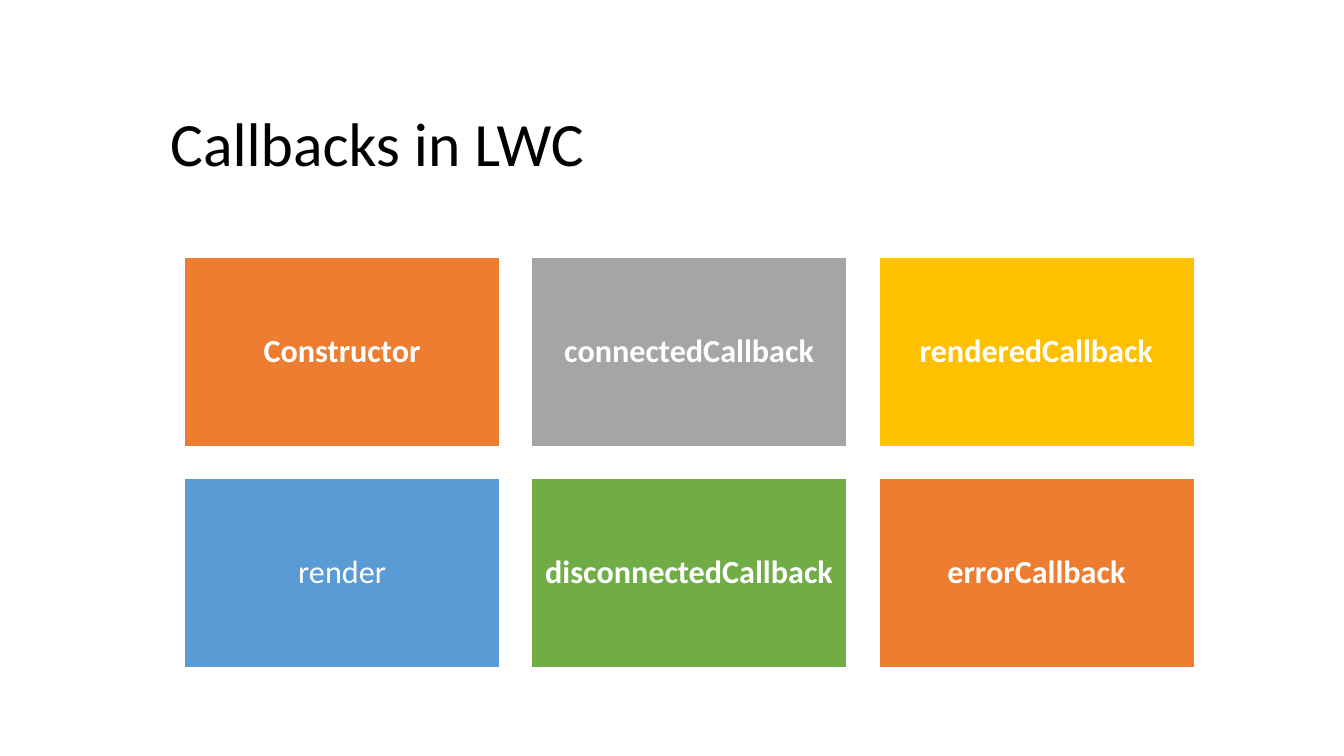
from dataclasses import dataclass

from pptx import Presentation
from pptx.dml.color import RGBColor
from pptx.enum.shapes import MSO_SHAPE
from pptx.enum.text import MSO_ANCHOR, PP_ALIGN
from pptx.shapes.autoshape import Shape
from pptx.slide import Slide
from pptx.util import Cm, Pt


@dataclass(frozen=True)
class Theme:
    font: str = "Calibri"
    title_size: int = 44
    card_size: int = 23
    black: str = "000000"
    white: str = "FFFFFF"
    orange: str = "ED7D31"
    gray: str = "A5A5A5"
    gold: str = "FFC000"
    blue: str = "5B9BD5"
    green: str = "70AD47"


@dataclass(frozen=True)
class Callback:
    name: str
    color: str
    bold: bool = True


THEME = Theme()
COLUMNS = 3
GRID_LEFT, GRID_TOP = 4.65, 6.48
CARD_WIDTH, CARD_HEIGHT, GAP = 7.95, 4.77, 0.8
INSET = Cm(0.25)

CALLBACKS = [
    Callback("Constructor", THEME.orange),
    Callback("connectedCallback", THEME.gray),
    Callback("renderedCallback", THEME.gold),
    Callback("render", THEME.blue, bold=False),
    Callback("disconnectedCallback", THEME.green),
    Callback("errorCallback", THEME.orange),
]


def apply_format(target: object, values: dict[str, object]) -> None:
    for attribute, value in values.items():
        setattr(target, attribute, value)


def write_text(
    holder: Shape, text: str, size: int, color: str, align: PP_ALIGN, bold: bool
) -> None:
    frame = holder.text_frame
    apply_format(frame, {
        "word_wrap": True,
        "vertical_anchor": MSO_ANCHOR.MIDDLE,
        "margin_left": INSET,
        "margin_right": INSET,
    })
    paragraph = frame.paragraphs[0]
    apply_format(paragraph, {"alignment": align, "line_spacing": 0.9})
    run = paragraph.add_run()
    run.text = text
    apply_format(run.font, {"name": THEME.font, "size": Pt(size), "bold": bold})
    run.font.color.rgb = RGBColor.from_string(color)


def add_title(slide: Slide, text: str) -> None:
    title = slide.shapes.add_textbox(Cm(4.04), Cm(2.24), Cm(26.67), Cm(2.92))
    write_text(title, text, THEME.title_size, THEME.black, PP_ALIGN.LEFT, False)


def add_card(slide: Slide, callback: Callback, position: int) -> None:
    row, column = divmod(position, COLUMNS)
    card = slide.shapes.add_shape(
        MSO_SHAPE.RECTANGLE,
        Cm(GRID_LEFT + column * (CARD_WIDTH + GAP)),
        Cm(GRID_TOP + row * (CARD_HEIGHT + GAP)),
        Cm(CARD_WIDTH),
        Cm(CARD_HEIGHT),
    )
    card.shadow.inherit = False
    card.fill.solid()
    card.fill.fore_color.rgb = RGBColor.from_string(callback.color)
    card.line.color.rgb = RGBColor.from_string(THEME.white)
    card.line.width = Pt(1)
    write_text(
        card, callback.name, THEME.card_size, THEME.white,
        PP_ALIGN.CENTER, callback.bold,
    )


def main() -> None:
    presentation = Presentation()
    apply_format(presentation, {"slide_width": Cm(33.87), "slide_height": Cm(19.05)})
    slide = presentation.slides.add_slide(presentation.slide_layouts[6])
    add_title(slide, "Callbacks in LWC")
    for position, callback in enumerate(CALLBACKS):
        add_card(slide, callback, position)
    presentation.save("out.pptx")


if __name__ == "__main__":
    main()
